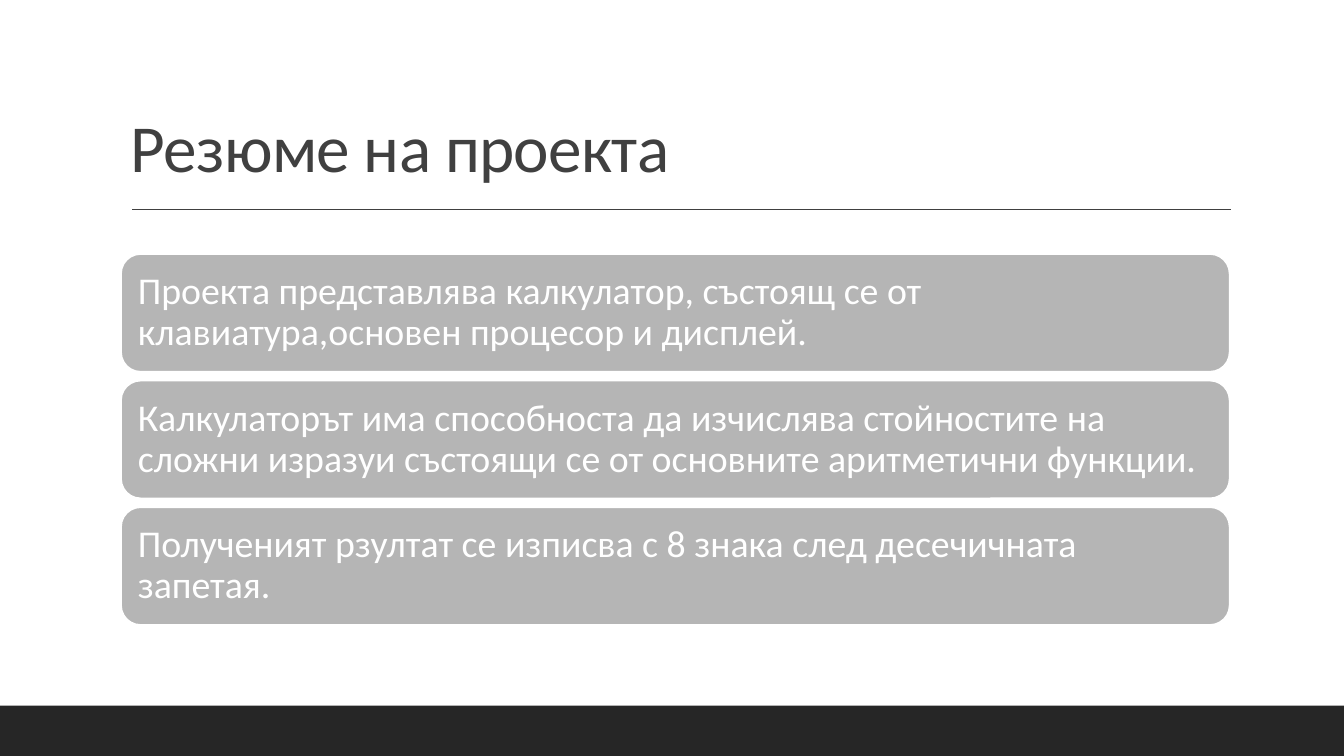
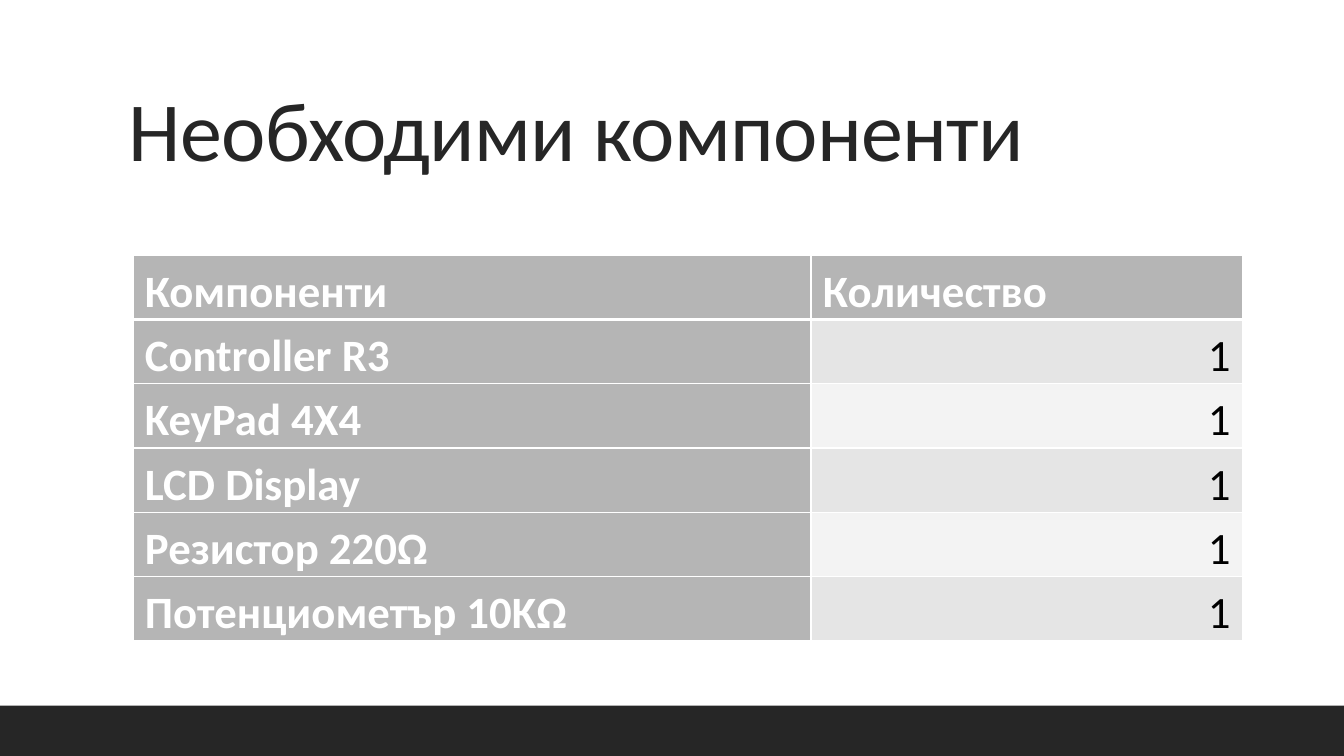
from lxml import etree
from pptx import Presentation
from pptx import util as u
from pptx.dml import color
from pptx.enum import shapes, text
from pptx.oxml import ns

COLORS = {"dark": "262626", "line": "404040", "grey": "B5B5B5", "white": "FFFFFF",
          "black": "000000", "odd": "E5E5E5", "even": "F3F3F3"}
RGB = {name: color.RGBColor.from_string(value) for name, value in COLORS.items()}
LEFT, TOP = text.PP_ALIGN.LEFT, text.MSO_ANCHOR.TOP
MIDDLE, BOTTOM = text.MSO_ANCHOR.MIDDLE, text.MSO_ANCHOR.BOTTOM


def write(tf, words, ink, font, para, frame):
    """Fill a text frame with one formatted run and return the run."""
    p = tf.paragraphs[0]
    r = p.add_run()
    r.text = words
    r.font.color.rgb = RGB[ink]
    formats = ((tf, {"word_wrap": True, **frame}),
               (p, {"alignment": LEFT, **para}),
               (r.font, {"name": "Calibri", **font}))
    for target, values in formats:
        for key, value in values.items():
            setattr(target, key, value)
    return r


def add_page(title, ink, size, box):
    """Add a blank slide with the dark bottom band and a title."""
    s = prs.slides.add_slide(prs.slide_layouts[6])
    band = s.shapes.add_shape(shapes.MSO_SHAPE.RECTANGLE, 0, u.Cm(17.78),
                              prs.slide_width, u.Cm(1.27))
    band.shadow.inherit = False
    band.fill.solid()
    band.fill.fore_color.rgb = RGB["dark"]
    band.line.fill.background()
    tb = s.shapes.add_textbox(*[u.Cm(v) for v in box])
    r = write(tb.text_frame, title, ink, {"size": u.Pt(size)},
              {"line_spacing": 0.9}, {"vertical_anchor": BOTTOM})
    r.font._element.set("spc", "-50")
    return s


prs = Presentation()
prs.slide_width, prs.slide_height = u.Cm(33.87), u.Cm(19.05)

# Project summary
s = add_page("Резюме на проекта", "line", 48, (3.05, 0.79, 27.94, 4.04))
rule = s.shapes.add_connector(shapes.MSO_CONNECTOR.STRAIGHT,
                              u.Cm(3.33), u.Cm(5.28), u.Cm(31.01), u.Cm(5.28))
rule.line.color.rgb = RGB["line"]
rule.line.width = u.Pt(1)
etree.SubElement(rule._element.spPr, ns.qn("a:effectLst"))

summary = [
    "Проекта представлява калкулатор, състоящ се от клавиатура,основен процесор и дисплей.",
    "Калкулаторът има способноста да изчислява стойностите на сложни изразуи "
    "състоящи се от основните аритметични функции.",
    "Полученият рзултат се изписва с 8 знака след десечичната запетая.",
]
for i, words in enumerate(summary):
    sp = s.shapes.add_shape(shapes.MSO_SHAPE.ROUNDED_RECTANGLE, u.Cm(3.05),
                            u.Cm(6.4 + 3.19 * i), u.Cm(27.94), u.Cm(2.97))
    sp.shadow.inherit = False
    sp.fill.solid()
    sp.fill.fore_color.rgb = RGB["grey"]
    sp.line.color.rgb = RGB["white"]
    sp.line.width = u.Pt(1.25)
    # The preset's own text inset covers part of the left and right margin.
    write(sp.text_frame, words, "white", {"size": u.Pt(27)}, {"line_spacing": 0.9},
          {"vertical_anchor": MIDDLE, "margin_left": u.Cm(0.28),
           "margin_right": u.Cm(0.28)})

# Components table
s = add_page("Необходими компоненти", "dark", 60, (3, 1.78, 27.28, 2.87))
rows = [("Компоненти", "Количество"), ("Controller R3", "1"), ("KeyPad 4X4", "1"),
        ("LCD Display", "1"), ("Резистор 220Ω", "1"), ("Потенциометър 10KΩ", "1")]
widths, row_height = (17.09, 10.87), 1.62
table = s.shapes.add_table(len(rows), len(widths), u.Cm(3.35), u.Cm(6.43),
                           u.Cm(sum(widths)), u.Cm(row_height * len(rows))).table
for column, width in zip(table.columns, widths):
    column.width = u.Cm(width)

for i, row in enumerate(rows):
    table.rows[i].height = u.Cm(row_height)
    for j, words in enumerate(row):
        cell = table.cell(i, j)
        is_value = i > 0 and j > 0
        fill = ("odd" if i % 2 else "even") if is_value else "grey"
        cell.fill.solid()
        cell.fill.fore_color.rgb = RGB[fill]
        cell.vertical_anchor = BOTTOM
        for side, margin in {"left": 0.3, "right": 0.3, "top": 0, "bottom": 0}.items():
            setattr(cell, "margin_" + side, u.Cm(margin))
        write(cell.text_frame, words, "black" if is_value else "white",
              {"size": u.Pt(32), "bold": not is_value},
              {"alignment": text.PP_ALIGN.RIGHT if is_value else LEFT,
               "line_spacing": 1.15, "space_after": u.Pt(10)}, {})
        borders = {"lnL": 1, "lnR": 1, "lnT": 3 if i == 1 else 1, "lnB": 3 if i == 0 else 1}
        for place, (tag, width) in enumerate(borders.items()):
            ln = etree.Element(ns.qn("a:" + tag), w=str(u.Pt(width)))
            solid = etree.SubElement(ln, ns.qn("a:solidFill"))
            etree.SubElement(solid, ns.qn("a:srgbClr"), val=COLORS["white"])
            cell._tc.get_or_add_tcPr().insert(place, ln)

prs.save("out.pptx")
